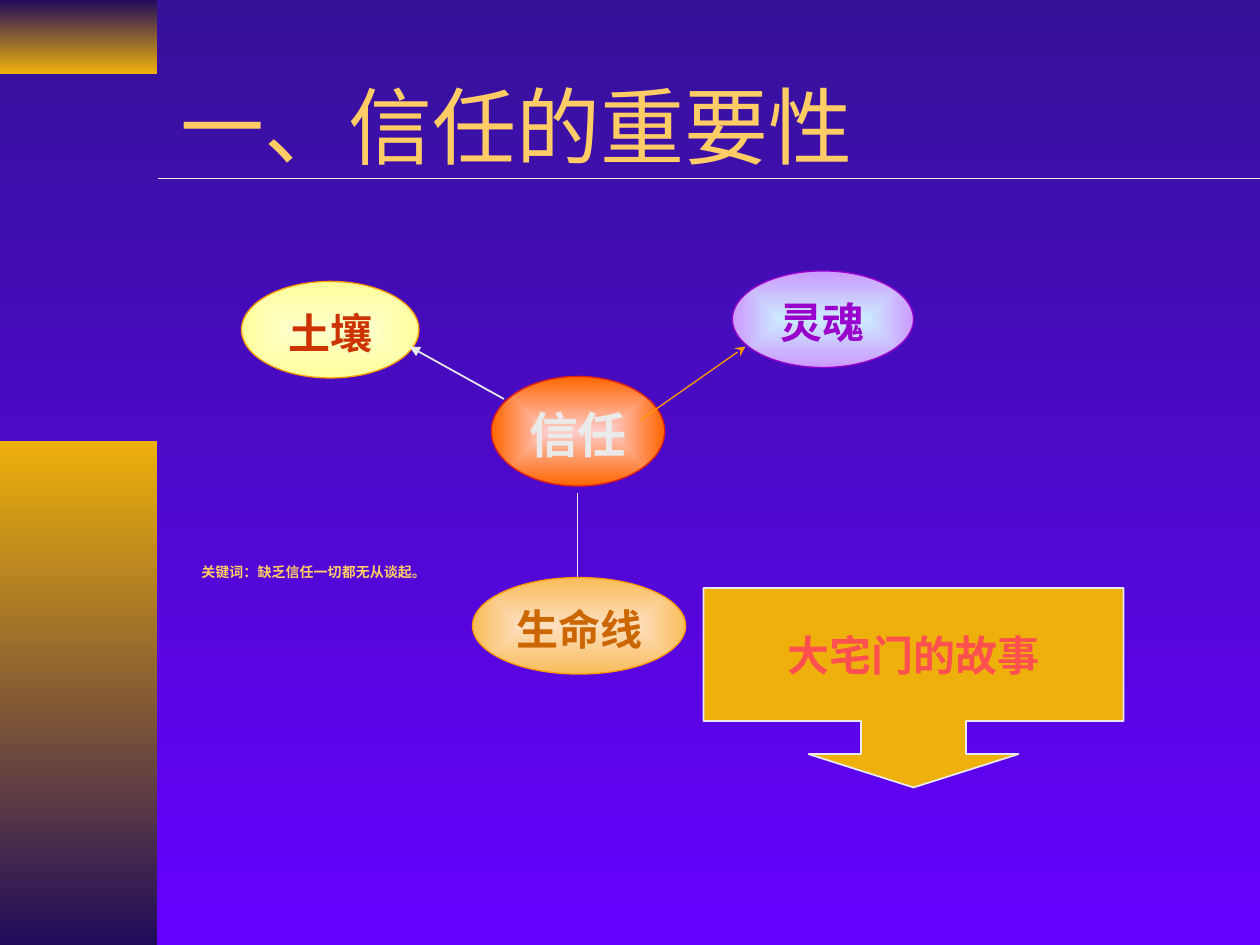
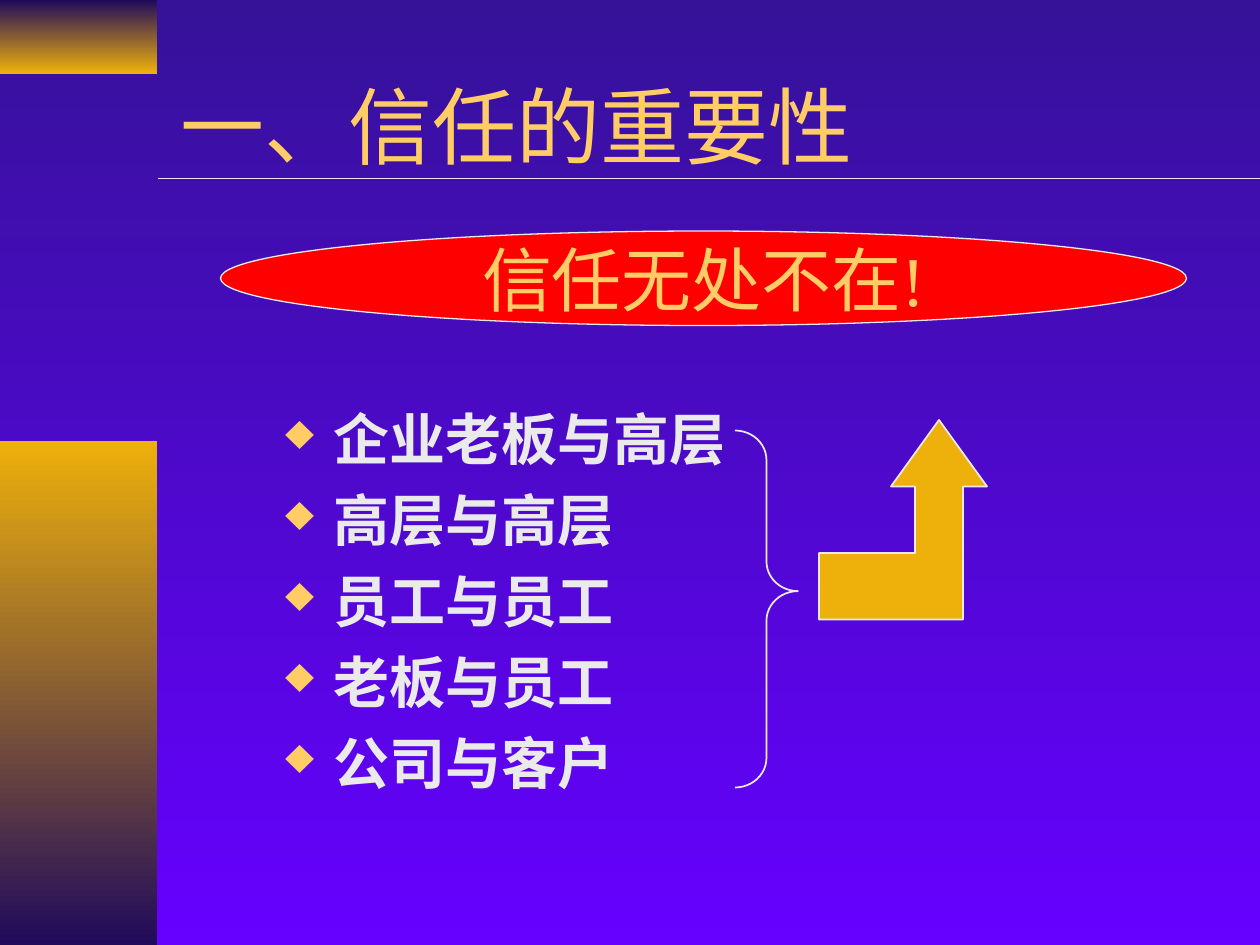
from lxml.etree import SubElement
from pptx import Presentation
from pptx.dml.color import RGBColor
from pptx.enum.shapes import MSO_CONNECTOR as Connector, MSO_SHAPE as Shape
from pptx.enum.text import MSO_ANCHOR as Anchor, PP_ALIGN as Align
from pptx.oxml.ns import qn
from pptx.util import Inches, Pt

COLOURS = {
    "indigo": "351298", "violet": "6600FF", "navy": "200B5B", "gold": "EEB00B",
    "sand": "FFCC66", "pale": "EAEAEA", "coral": "FF5050", "red": "FF0000",
    "ice": "CCECFF", "lilac": "CC99FF", "purple": "9900CC",
    "cream": "FFFFCC", "lemon": "FFFF99", "orange": "FF9900", "rust": "CC3300",
    "peach": "FFDFBF", "apricot": "F8BC5A", "brown": "CC6600",
    "pink": "FFCCCC", "flame": "FF6600", "scarlet": "E11E0F",
}
RGB = {name: RGBColor.from_string(value) for name, value in COLOURS.items()}
COLUMNS, ROWS = 120, 90
UNIT = Inches(10) // COLUMNS
BAND = 15
LATIN, HAN = "Times New Roman", "Noto Sans CJK SC"


def cells(*values):
    return [round(value * UNIT) for value in values]


def write(para, text, size, colour, bold=False):
    span = para.add_run()
    span.text = text
    font = span.font
    font.name, font.size, font.bold = LATIN, Pt(size), bold
    font.color.rgb = RGB[colour]
    SubElement(font._element, qn("a:ea"), typeface=HAN)


deck = Presentation()
deck.slide_width, deck.slide_height = cells(COLUMNS, ROWS)
gradients = []
outlines = []
arrows = []

for number in range(2):
    page = deck.slides.add_slide(deck.slide_layouts[6])
    gradients.append((page.background.fill, "indigo", "violet"))
    for top, height, first, last in [(0, 7, "navy", "gold"), (42, 48, "gold", "navy")]:
        band = page.shapes.add_shape(Shape.RECTANGLE, *cells(0, top, BAND, height))
        band.line.fill.background()
        gradients.append((band.fill, first, last))
    title = page.shapes.add_textbox(*cells(16, 4, 102, 15.8)).text_frame
    title.word_wrap = True
    title.vertical_anchor = Anchor.MIDDLE
    write(title.paragraphs[0], "一、信任的重要性", 48, "sand")
    rule = page.shapes.add_connector(Connector.STRAIGHT, *cells(BAND, 17, COLUMNS, 17))
    outlines.append((rule, "pale", 1))

trust, everywhere = deck.slides

keyword = trust.shapes.add_textbox(*cells(18, 53, 102, 3)).text_frame
keyword.word_wrap = True
keyword.vertical_anchor = Anchor.MIDDLE
write(keyword.paragraphs[0], "关键词：缺乏信任一切都无从谈起。", 8, "sand", True)

lifeline = trust.shapes.add_connector(Connector.STRAIGHT, *cells(55, 47, 55, 56))
outlines.append((lifeline, "pale", 1))
arrows.append((lifeline, "triangle"))

ideas = [
    ("灵魂", 69.75, 25.8, 17.25, 9.2, 24, "purple", "purple", "ice", "lilac"),
    ("土壤", 23, 26.8, 16.9, 9.2, 24, "rust", "orange", "cream", "lemon"),
    ("生命线", 45, 55, 20.3, 9.2, 24, "brown", "orange", "peach", "apricot"),
    ("信任", 46.8, 35.85, 16.5, 10.45, 28, "pale", "scarlet", "pink", "flame"),
]
path_fills = []
for text, left, top, width, height, size, colour, edge, inner, outer in ideas:
    idea = trust.shapes.add_shape(Shape.OVAL, *cells(left, top, width, height))
    gradients.append((idea.fill, inner, outer))
    path_fills.append(idea)
    outlines.append((idea, edge, 0.75))
    idea.text_frame.word_wrap = False
    idea.text_frame.vertical_anchor = Anchor.MIDDLE
    para = idea.text_frame.paragraphs[0]
    para.alignment = Align.CENTER
    para.line_spacing = 1.1
    para.space_before = Pt(size * 0.625)
    write(para, text, size, colour, True)

for ends, colour, width, head in [
    ((61, 40, 71, 33), "orange", 0.75, "stealth"),
    ((48, 38, 39, 33), "pale", 1, "triangle"),
]:
    link = trust.shapes.add_connector(Connector.STRAIGHT, *cells(*ends))
    outlines.append((link, colour, width))
    arrows.append((link, head))

story = trust.shapes.add_shape(Shape.DOWN_ARROW_CALLOUT, *cells(67, 56, 40, 19))
for index, share in enumerate([0.526, 0.526, 0.167, 0.667]):
    story.adjustments[index] = share
slogan = everywhere.shapes.add_shape(Shape.OVAL, *cells(21, 22, 92, 9))
for box, fill, width, text, size, colour, bold in [
    (story, "gold", 1, "大宅门的故事", 24, "coral", True),
    (slogan, "red", 0.75, "信任无处不在!", 40, "sand", False),
]:
    box.fill.solid()
    box.fill.fore_color.rgb = RGB[fill]
    outlines.append((box, "pale", width))
    box.text_frame.word_wrap = False
    box.text_frame.vertical_anchor = Anchor.MIDDLE
    box.text_frame.paragraphs[0].alignment = Align.CENTER
    write(box.text_frame.paragraphs[0], text, size, colour, bold)

relations = everywhere.shapes.add_textbox(*cells(26, 36.6, 83, 46.4)).text_frame
relations.word_wrap = True
pairs = ["企业老板与高层", "高层与高层", "员工与员工", "老板与员工", "公司与客户"]
for index, pair in enumerate(pairs):
    para = relations.add_paragraph() if index else relations.paragraphs[0]
    para.line_spacing = Pt(46.3)
    write(para, pair, 32, "pale", True)
    properties = para._p.get_or_add_pPr()
    properties.set("marL", str(Inches(0.38)))
    properties.set("indent", str(-Inches(0.38)))
    tint = SubElement(properties, qn("a:buClr"))
    SubElement(tint, qn("a:srgbClr"), val=COLOURS["sand"])
    SubElement(properties, qn("a:buSzPct"), val="90000")
    SubElement(properties, qn("a:buChar"), char="♦")

brace = everywhere.shapes.add_shape(Shape.RIGHT_BRACE, *cells(70, 41, 6, 34))
brace.adjustments[0] = 0.47
brace.adjustments[1] = 0.45
brace.fill.background()
outlines.append((brace, "pale", 1))

outline = everywhere.shapes.build_freeform(5, 0, scale=(16 * UNIT / 7, 19 * UNIT / 3))
outline.add_line_segments(
    [(3, 1), (4, 1), (4, 2), (0, 2), (0, 3), (6, 3), (6, 1), (7, 1)], close=True)
rise = outline.convert_to_shape(*cells(78, 40))
rise.fill.solid()
rise.fill.fore_color.rgb = RGB["gold"]
outlines.append((rise, "pale", 1))

for fill, first, last in gradients:
    fill.gradient()
    fill.gradient_angle = 270
    for stop, colour, position in zip(fill.gradient_stops, (first, last), (0, 1)):
        stop.color.rgb = RGB[colour]
        stop.position = position

for idea in path_fills:
    gradient = idea._element.spPr.find(qn("a:gradFill"))
    gradient.remove(gradient.find(qn("a:lin")))
    route = SubElement(gradient, qn("a:path"), path="rect")
    SubElement(route, qn("a:fillToRect"), l="50000", t="50000", r="50000", b="50000")

for shape, colour, width in outlines:
    shape.line.color.rgb = RGB[colour]
    shape.line.width = Pt(width)

for link, head in arrows:
    SubElement(link._element.spPr.find(qn("a:ln")), qn("a:tailEnd"), type=head)

for page in deck.slides:
    for shape in page.shapes:
        SubElement(shape._element.spPr, qn("a:effectLst"))

deck.save("out.pptx")
